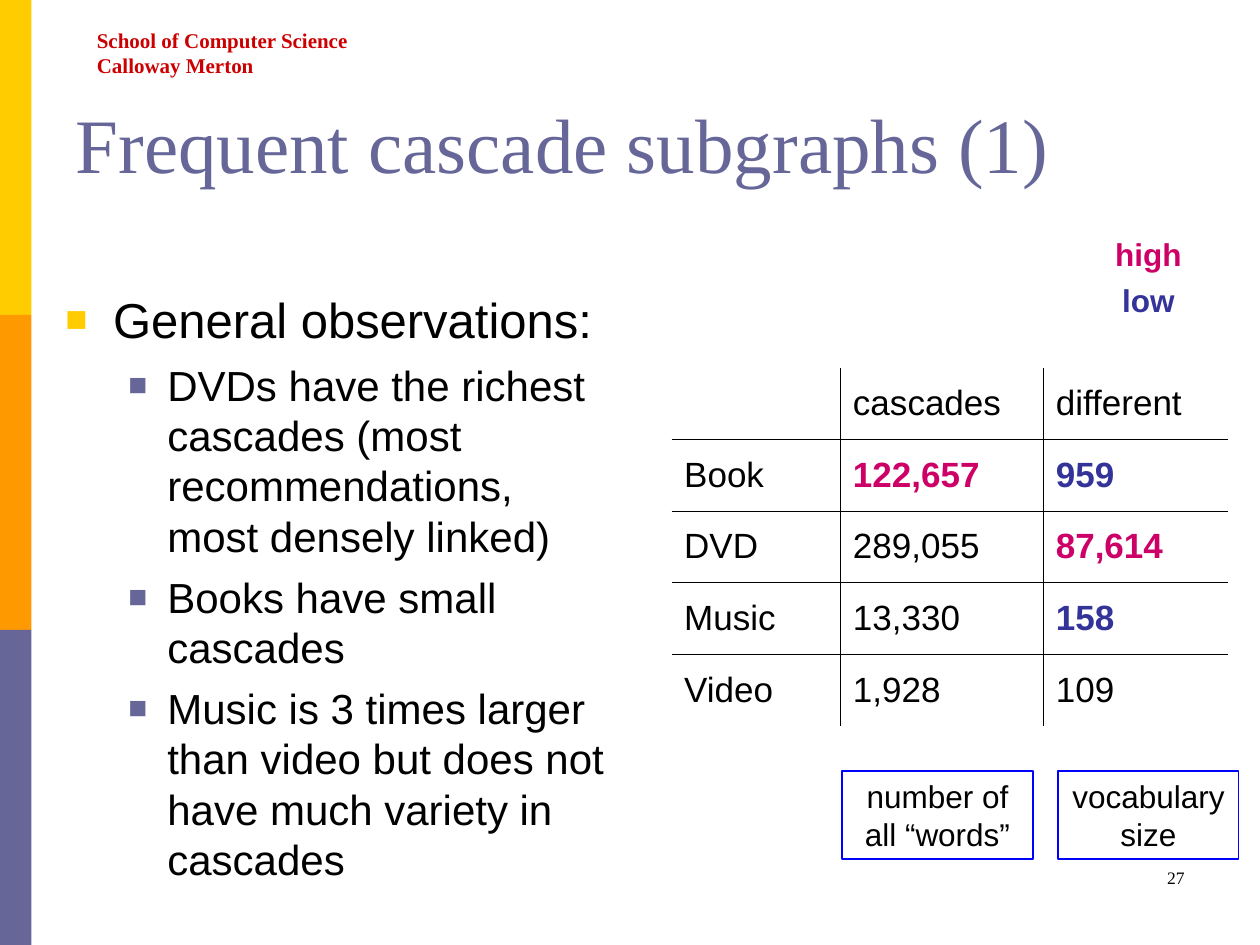
from dataclasses import dataclass

from lxml.etree import SubElement
from pptx import Presentation
from pptx.dml.color import RGBColor
from pptx.enum.shapes import MSO_SHAPE as Shape
from pptx.enum.text import MSO_ANCHOR as Anchor, MSO_AUTO_SIZE as AutoSize, PP_ALIGN as Align
from pptx.oxml.ns import qn
from pptx.util import Inches, Pt


@dataclass(frozen=True)
class Theme:
    serif: str = "Times New Roman"
    sans: str = "Arial"
    black: str = "000000"
    yellow: str = "FFCC00"
    orange: str = "FF9900"
    slate: str = "666699"
    red: str = "CC0000"
    high: str = "CC0066"
    low: str = "333399"
    outline: str = "0000FF"
    title_size: int = 44
    bullet_size: int = 28
    detail_size: int = 24
    table_size: int = 20
    label_size: int = 18
    header_size: int = 12
    number_size: int = 10
    rule_width: float = 0.45


THEME = Theme()


def color(value):
    return RGBColor.from_string(value)


def inches(box):
    return [Inches(length) for length in box]


def set_attributes(target, **values):
    for name, value in values.items():
        setattr(target, name, value)


def write(paragraph, text, size, ink=THEME.black, font=THEME.sans, bold=False,
          align=Align.LEFT, before=0):
    set_attributes(paragraph, alignment=align, space_before=Pt(before))
    run = paragraph.add_run()
    run.text = text
    set_attributes(run.font, name=font, size=Pt(size), bold=bold)
    run.font.color.rgb = color(ink)


def next_paragraph(frame, index):
    return frame.add_paragraph() if index else frame.paragraphs[0]


def add_text_box(slide, box, wrap=True):
    frame = slide.shapes.add_textbox(*inches(box)).text_frame
    frame.word_wrap = wrap
    return frame


def add_side_bar(slide, box):
    left, top, width, height = box
    inks = (THEME.yellow, THEME.orange, THEME.slate)
    band = height / len(inks)
    for index, ink in enumerate(inks):
        shape = slide.shapes.add_shape(
            Shape.RECTANGLE, *inches((left, top + index * band, width, band)))
        shape.shadow.inherit = False
        shape.fill.solid()
        shape.fill.fore_color.rgb = color(ink)
        shape.line.fill.background()


def add_header(slide, box):
    frame = add_text_box(slide, box, wrap=False)
    for index, text in enumerate(("School of Computer Science", "Calloway Merton")):
        write(next_paragraph(frame, index), text, THEME.header_size, THEME.red,
              THEME.serif, bold=True)


def place_title(slide, box, text):
    title = slide.shapes.title
    set_attributes(title, **dict(zip(("left", "top", "width", "height"), inches(box))))
    frame = title.text_frame
    set_attributes(frame, vertical_anchor=Anchor.BOTTOM, word_wrap=True,
                   auto_size=AutoSize.NONE)
    write(frame.paragraphs[0], text, THEME.title_size, THEME.slate, THEME.serif)


def add_bullet(paragraph, ink, margin, hanging):
    properties = paragraph._p.get_or_add_pPr()
    properties.set("marL", str(Inches(margin)))
    properties.set("indent", str(-Inches(hanging)))
    bullet_color = SubElement(properties, qn("a:buClr"))
    SubElement(bullet_color, qn("a:srgbClr"), val=ink)
    SubElement(properties, qn("a:buSzPct"), val="75000")
    SubElement(properties, qn("a:buFont"), typeface=THEME.sans)
    SubElement(properties, qn("a:buChar"), char="■")


def add_observations(slide, box, heading, details):
    frame = add_text_box(slide, box)
    write(frame.paragraphs[0], heading, THEME.bullet_size, before=7)
    add_bullet(frame.paragraphs[0], THEME.yellow, 0.38, 0.38)
    for text in details:
        paragraph = frame.add_paragraph()
        paragraph.level = 1
        write(paragraph, text, THEME.detail_size, before=6)
        add_bullet(paragraph, THEME.slate, 0.81, 0.31)


def set_borders(cell, visible):
    properties = cell._tc.get_or_add_tcPr()
    for edge, shown in visible.items():
        line = SubElement(properties, qn(f"a:ln{edge}"), w=str(Pt(THEME.rule_width)))
        if shown:
            fill = SubElement(line, qn("a:solidFill"))
            SubElement(fill, qn("a:srgbClr"), val=THEME.black)
        else:
            SubElement(line, qn("a:noFill"))


def add_cascade_table(slide, box, widths, rows, accents):
    last_row, last_column = len(rows) - 1, len(widths) - 1
    table = slide.shapes.add_table(len(rows), len(widths), *inches(box)).table
    set_attributes(table, first_row=False, horz_banding=False)
    for column, width in zip(table.columns, widths):
        column.width = Inches(width)
    for row_index, values in enumerate(rows):
        for column_index, text in enumerate(values):
            cell = table.cell(row_index, column_index)
            set_borders(cell, {"L": column_index > 0, "R": column_index < last_column,
                               "T": row_index > 0, "B": row_index < last_row})
            cell.fill.background()
            cell.vertical_anchor = Anchor.MIDDLE
            if text:
                write(cell.text_frame.paragraphs[0], text, THEME.table_size,
                      accents.get(text, THEME.black), bold=text in accents, before=5)


def add_legend(slide, box):
    frame = add_text_box(slide, box, wrap=False)
    for index, (text, ink) in enumerate((("high", THEME.high), ("low", THEME.low))):
        write(next_paragraph(frame, index), text, THEME.label_size, ink, bold=True,
              align=Align.CENTER, before=4.5)


def add_note(slide, box, text):
    shape = slide.shapes.add_shape(Shape.RECTANGLE, *inches(box))
    shape.shadow.inherit = False
    shape.fill.background()
    shape.line.color.rgb = color(THEME.outline)
    shape.line.width = Pt(1)
    frame = shape.text_frame
    set_attributes(frame, word_wrap=True, vertical_anchor=Anchor.TOP,
                   margin_left=Inches(0.05), margin_right=Inches(0.05))
    write(frame.paragraphs[0], text, THEME.label_size, align=Align.CENTER)


def add_page_number(slide, box, text):
    frame = add_text_box(slide, box)
    write(frame.paragraphs[0], text, THEME.number_size, font=THEME.serif, align=Align.RIGHT)


def main():
    presentation = Presentation()
    set_attributes(presentation, slide_width=Inches(10), slide_height=Inches(7.5))
    slide = presentation.slides.add_slide(presentation.slide_layouts[5])
    add_side_bar(slide, (0, 0, 0.25, 7.5))
    add_header(slide, (0.67, 0.17, 2.19, 0.5))
    place_title(slide, (0.5, 0.3, 9, 1.25), "Frequent cascade subgraphs (1)")
    add_observations(slide, (0.42, 2.25, 4.5, 5), "General observations:", (
        "DVDs have the richest cascades (most recommendations, most densely linked)",
        "Books have small cascades",
        "Music is 3 times larger than video but does not have much variety in cascades",
    ))
    add_cascade_table(slide, (5.33, 2.92, 4.42, 2.84), (1.34, 1.61, 1.47), (
        ("", "cascades", "different"),
        ("Book", "122,657", "959"),
        ("DVD", "289,055", "87,614"),
        ("Music", "13,330", "158"),
        ("Video", "1,928", "109"),
    ), {"122,657": THEME.high, "87,614": THEME.high, "959": THEME.low, "158": THEME.low})
    add_legend(slide, (8.75, 1.82, 0.73, 0.77))
    add_note(slide, (6.68, 6.12, 1.52, 0.7), "number of all “words”")
    add_note(slide, (8.4, 6.12, 1.43, 0.7), "vocabulary size")
    add_page_number(slide, (7.17, 6.83, 2.33, 0.5), "27")
    presentation.save("out.pptx")


if __name__ == "__main__":
    main()
